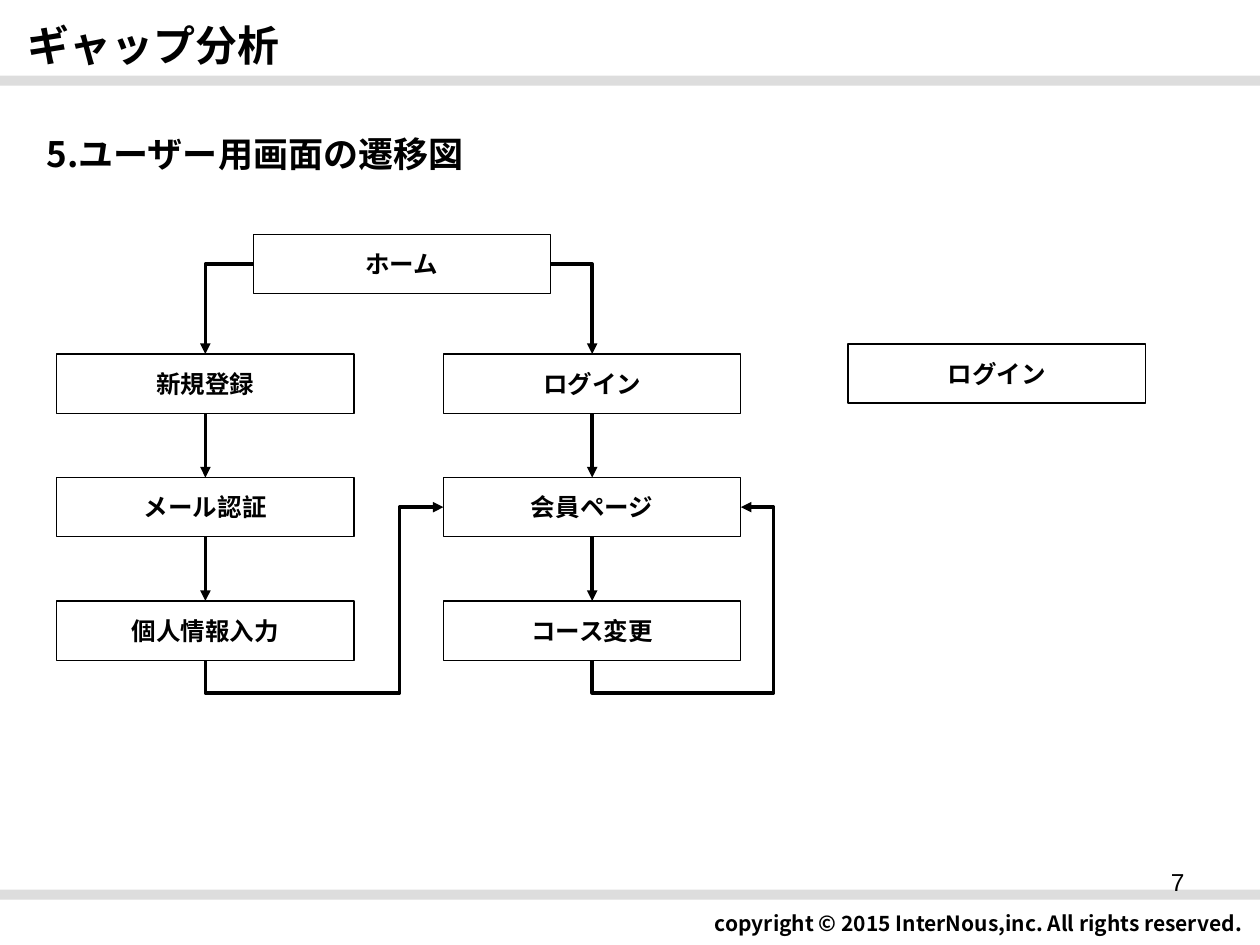
from lxml import etree
from pptx import Presentation
from pptx.dml.color import RGBColor
from pptx.enum.shapes import MSO_CONNECTOR, MSO_SHAPE
from pptx.enum.text import MSO_ANCHOR, MSO_AUTO_SIZE, PP_ALIGN
from pptx.oxml.ns import qn
from pptx.util import Inches, Pt

BLACK = RGBColor(0x00, 0x00, 0x00)
GREY = RGBColor(0xDD, 0xDD, 0xDD)
LATIN, JAPANESE = "Arial", "Noto Sans CJK JP"
LEFT, CENTER, RIGHT = PP_ALIGN.LEFT, PP_ALIGN.CENTER, PP_ALIGN.RIGHT
TOP, MIDDLE = MSO_ANCHOR.TOP, MSO_ANCHOR.MIDDLE
STRAIGHT, ELBOW = MSO_CONNECTOR.STRAIGHT, MSO_CONNECTOR.ELBOW
RECTANGLE = MSO_SHAPE.RECTANGLE
SIDE_TOP, SIDE_LEFT, SIDE_BOTTOM, SIDE_RIGHT = range(4)

# Content
TITLE = "ギャップ分析"
HEADING = "5.ユーザー用画面の遷移図"
COPYRIGHT = "copyright © 2015 InterNous,inc. All rights reserved."
PAGE_NUMBER = "7"
HOME = "ホーム"
REGISTER_FLOW = ["新規登録", "メール認証", "個人情報入力"]
MEMBER_FLOW = ["ログイン", "会員ページ", "コース変更"]
SPARE_SCREEN = "ログイン"

# Layout in inches
BOX_W, BOX_H = 2.36, 0.47
ROW_TOP, ROW_PITCH = 2.81, 0.98
REGISTER_X, MEMBER_X = 0.45, 3.52
RETURN_DROP = 0.26

prs = Presentation()
prs.slide_width, prs.slide_height = Inches(10), Inches(7.5)
slide = prs.slides.add_slide(prs.slide_layouts[5])
shapes = slide.shapes


def write(shape, text, size, align, font=JAPANESE, bold=True, anchor=MIDDLE):
    frame = shape.text_frame
    frame.text = text
    frame.word_wrap = True
    frame.auto_size = MSO_AUTO_SIZE.NONE
    frame.vertical_anchor = anchor
    paragraph = frame.paragraphs[0]
    paragraph.alignment = align
    run = paragraph.runs[0]
    run.font.name, run.font.size, run.font.bold = font, Pt(size), bold
    run.font.color.rgb = BLACK
    east_asian = etree.Element(qn("a:ea"), typeface=JAPANESE)
    run.font._element.find(qn("a:latin")).addnext(east_asian)


def add_text(x, y, w, h, *args, **options):
    write(shapes.add_textbox(Inches(x), Inches(y), Inches(w), Inches(h)),
          *args, **options)


def add_screen(label, x, y):
    box = shapes.add_shape(RECTANGLE, Inches(x), Inches(y),
                           Inches(BOX_W), Inches(BOX_H))
    box.shadow.inherit = False
    box.fill.background()
    box.line.color.rgb = BLACK
    box.line.width = Pt(0.75)
    write(box, label, 14, CENTER, LATIN)
    return box


def add_flow(labels, x):
    return [add_screen(label, x, ROW_TOP + row * ROW_PITCH)
            for row, label in enumerate(labels)]


def join(kind, start, start_side, end, end_side, arrow="tailEnd"):
    link = shapes.add_connector(kind, 0, 0, 0, 0)
    link.begin_connect(start, start_side)
    link.end_connect(end, end_side)
    link.line.color.rgb = BLACK
    link.line.width = Pt(2)
    etree.SubElement(link.line._get_or_add_ln(), qn("a:" + arrow), type="triangle")
    etree.SubElement(link._element.spPr, qn("a:effectLst"))
    return link


def bend(link, preset, *ratios):
    geometry = link._element.spPr.find(qn("a:prstGeom"))
    geometry.set("prst", preset)
    guides = geometry.find(qn("a:avLst"))
    if guides is None:
        guides = etree.SubElement(geometry, qn("a:avLst"))
    for number, ratio in enumerate(ratios, 1):
        etree.SubElement(guides, qn("a:gd"), name=f"adj{number}",
                         fmla=f"val {round(ratio * 100000)}")


# Title, grey bands, heading and footer
title = shapes.title
title.left, title.top = Inches(0.12), Inches(0.05)
title.width, title.height = Inches(7.01), Inches(0.61)
write(title, TITLE, 24, LEFT)
add_text(2.95, 7.14, 7.01, 0.37, COPYRIGHT, 12, RIGHT)
for band_y in (0.6, 7.06):
    band = shapes.add_shape(RECTANGLE, 0, Inches(band_y), Inches(10.04), Inches(0.08))
    band.shadow.inherit = False
    band.fill.solid()
    band.fill.fore_color.rgb = GREY
    band.line.fill.background()
add_text(0.27, 0.91, 7.01, 0.61, HEADING, 20, LEFT)

# Screens
home = add_screen(HOME, 2.01, 1.86)
register_boxes = add_flow(REGISTER_FLOW, REGISTER_X)
member_boxes = add_flow(MEMBER_FLOW, MEMBER_X)
add_screen(SPARE_SCREEN, 6.73, 2.73)

# Arrows from the home screen and down each flow
for side, flow in ((SIDE_LEFT, register_boxes), (SIDE_RIGHT, member_boxes)):
    bend(join(ELBOW, home, side, flow[0], SIDE_TOP), "bentConnector2")
    for upper, lower in zip(flow, flow[1:]):
        join(STRAIGHT, upper, SIDE_BOTTOM, lower, SIDE_TOP)

# Return arrows, drawn from the member page to the last screen of each flow
member_page = member_boxes[1]
for side, flow, reach in ((SIDE_LEFT, register_boxes, 0.35),
                          (SIDE_RIGHT, member_boxes, -0.26)):
    link = join(ELBOW, member_page, side, flow[-1], SIDE_BOTTOM, "headEnd")
    bend(link, "bentConnector4", Inches(reach) / link.width,
         1 + Inches(RETURN_DROP) / link.height)

# Page number
add_text(7.17, 6.83, 2.33, 0.52, PAGE_NUMBER, 14, RIGHT, LATIN, False, TOP)

prs.save("out.pptx")
